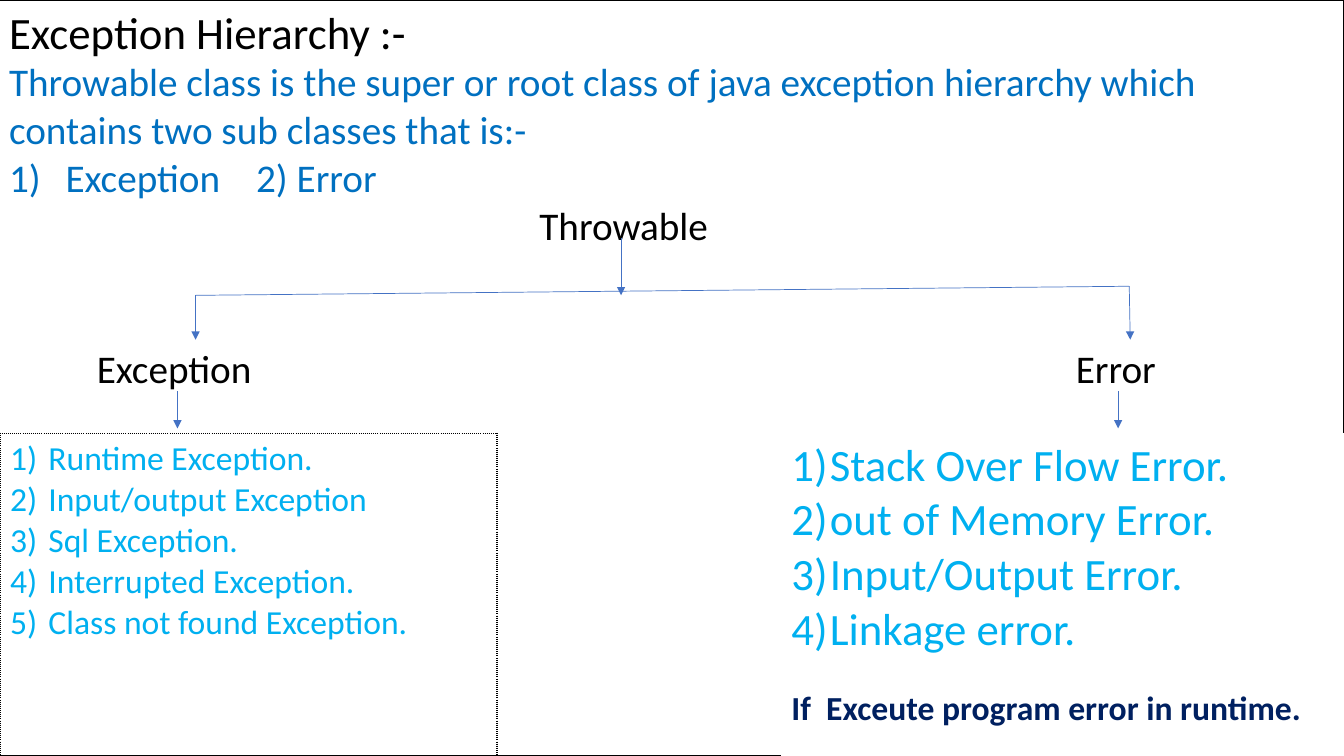
from pptx import Presentation
from pptx.dml.color import RGBColor as Rgb
from pptx.enum.shapes import MSO_CONNECTOR as Conn
from pptx.enum.text import MSO_ANCHOR as Anchor, MSO_AUTO_SIZE as Fit, PP_ALIGN as Align
from pptx.oxml.ns import qn
from pptx.util import Inches, Pt
from lxml.etree import SubElement as Sub

HUES = {"ink": "000000", "blue": "0070C0", "sky": "00B0F0",
        "navy": "002060", "line": "4472C4", "white": "FFFFFF"}
FONT = "Calibri"
FAULTS = ["Runtime Exception.", "Input/output Exception", "Sql Exception.",
          "Interrupted Exception.", "Class not found Exception."]
ERRORS = ["Stack Over Flow Error.", "out of Memory Error.",
          "Input/Output Error.", "Linkage error."]


def write(para, text, size, hue, bold=False, gap=0):
    """Fill a paragraph with one style of text."""
    para.text = text
    para.alignment = Align.LEFT
    para.line_spacing = 1.0
    para.space_before = Pt(gap)
    for run in para.runs:
        font = run.font
        font.name, font.size, font.bold = FONT, Pt(size), bold
        font.color.rgb = Rgb.from_string(HUES[hue])


def number(para, indent):
    """Number a paragraph with a hanging indent."""
    props = para._p.get_or_add_pPr()
    props.set("marL", str(Inches(indent)))
    props.set("indent", str(-Inches(indent)))
    Sub(props, qn("a:buFont"), typeface="+mj-lt")
    Sub(props, qn("a:buAutoNum"), type="arabicParenR")


def tabs(para, *stops):
    """Set left tab stops in inches."""
    stop_list = Sub(para._p.get_or_add_pPr(), qn("a:tabLst"))
    for stop in stops:
        Sub(stop_list, qn("a:tab"), pos=str(Inches(stop)), algn="l")


def panel(slide, box, hue, dash="solid", base=1):
    """Add a bordered table of one cell and return the cell."""
    table = slide.shapes.add_table(1, 1, *map(Inches, box)).table
    table.first_row = table.horz_banding = False
    cell = table.cell(0, 0)
    props = cell._tc.get_or_add_tcPr()
    for side in "LRTB":
        width = base if side == "B" else 1
        line = Sub(props, qn("a:ln" + side), w=str(Pt(width)))
        fill = Sub(line, qn("a:solidFill"))
        Sub(fill, qn("a:srgbClr"), val=HUES[hue])
        Sub(line, qn("a:prstDash"), val=dash)
    cell.fill.background()
    return cell


def items(cell, lines, size):
    """Write a numbered list into a cell."""
    frame = cell.text_frame
    for i, text in enumerate(lines):
        para = frame.add_paragraph() if i else frame.paragraphs[0]
        write(para, text, size, "sky")
        number(para, 0.38)


def heading(slide, box):
    """Place the slide title."""
    title = slide.shapes.title
    title.left, title.top, title.width, title.height = map(Inches, box)
    frame = title.text_frame
    frame.auto_size = Fit.NONE
    frame.vertical_anchor = Anchor.TOP
    write(frame.paragraphs[0], "Exception Hierarchy :-", 32, "ink")


def intro(slide, box, drop):
    """Place the page frame, the summary and the tree names."""
    cell = panel(slide, box, "ink")
    cell.margin_top = Inches(drop)
    frame = cell.text_frame
    write(frame.paragraphs[0], "Throwable class is the super or root class of java "
          "exception hierarchy which contains two sub classes that is:-", 28, "blue")
    kinds = frame.add_paragraph()
    write(kinds, "Exception\t2) Error", 28, "blue")
    number(kinds, 0.56)
    tabs(kinds, 2.45)
    root = frame.add_paragraph()
    write(root, "\tThrowable", 28, "ink")
    tabs(root, 5.26)
    leaves = frame.add_paragraph()
    write(leaves, "\tException\tError", 28, "ink", gap=68)
    tabs(leaves, 0.87, 10.58)


def link(slide, start, end, arrow):
    """Draw a thin line, with an arrowhead if asked."""
    line = slide.shapes.add_connector(Conn.STRAIGHT, *map(Inches, start + end))
    line.line.color.rgb = Rgb.from_string(HUES["line"])
    line.line.width = Pt(0.5)
    if arrow:
        Sub(line.line._get_or_add_ln(), qn("a:tailEnd"), type="triangle")
    Sub(line._element.spPr, qn("a:effectLst"))


def tree(slide, left, top, width):
    """Draw the branches from the root to both lists."""
    right, mid, bar = left + width, left + 4.22, top + 0.57
    tip, low = top + 1.01, top + 1.52
    link(slide, (mid, top), (mid, bar), True)
    link(slide, (left, bar), (right, bar - 0.09), False)
    link(slide, (left, bar), (left, tip), True)
    link(slide, (right, bar - 0.09), (right + 0.01, tip), True)
    for x in (left - 0.18, right - 0.11):
        link(slide, (x, low), (x, low + 0.37), True)


def errors(slide, box):
    """Place the error list and its closing remark."""
    cell = panel(slide, box, "white", base=3)
    items(cell, ERRORS, 32)
    write(cell.text_frame.add_paragraph(),
          "If  Exceute program error in runtime.", 24, "navy", True, 22)


def main():
    """Build and save the slide."""
    deck = Presentation()
    deck.slide_width, deck.slide_height = Inches(13.33), Inches(7.5)
    slide = deck.slides.add_slide(deck.slide_layouts[5])
    heading(slide, (-0.01, 0, 13.34, 0.6))
    intro(slide, (-0.01, 0, 13.34, 7.5), 0.59)
    tree(slide, 1.94, 2.36, 9.26)
    items(panel(slide, (0, 4.3, 4.93, 3.21), "ink", "sysDot"), FAULTS, 24)
    errors(slide, (7.75, 4.3, 5.57, 3.21))
    deck.save("out.pptx")


if __name__ == "__main__":
    main()
